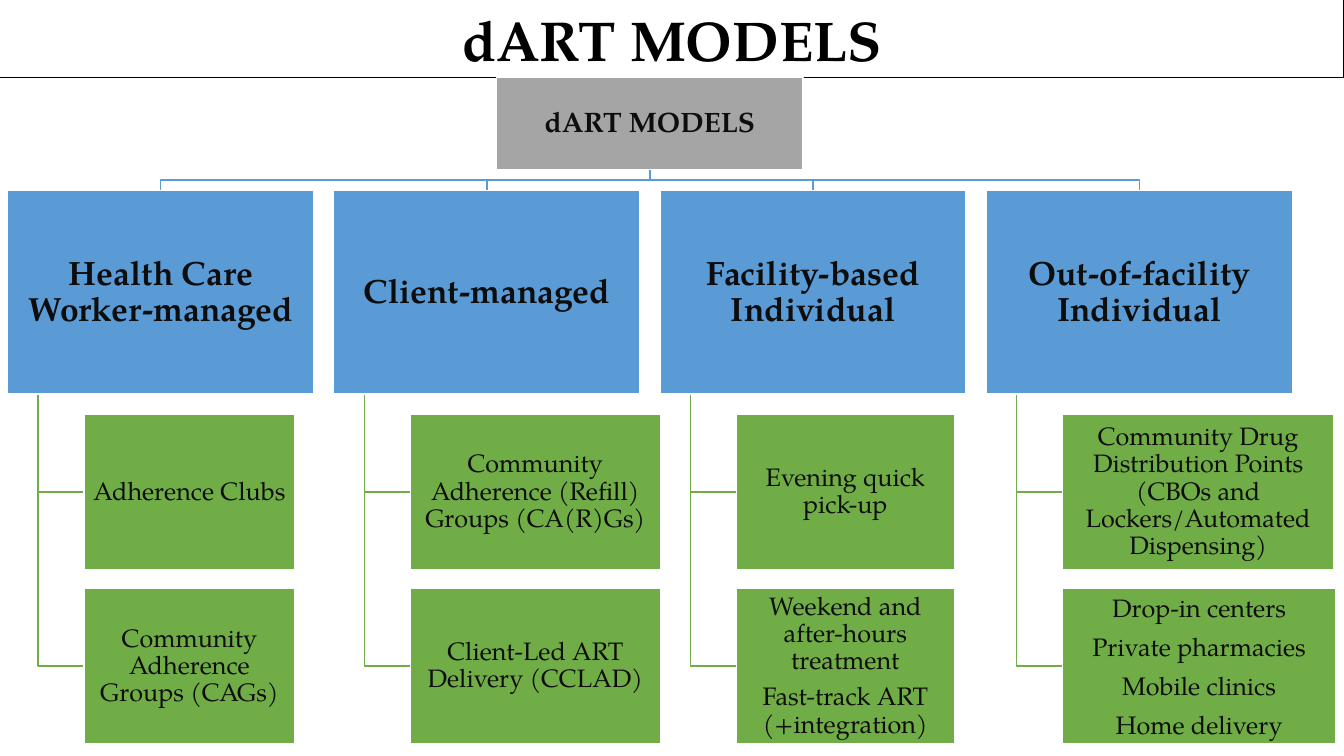
from pptx import Presentation
from pptx import util as u
from pptx.dml import color
from pptx.enum import shapes, text


def rgb(value):
    return color.RGBColor.from_string(value)


def apply(target, formats):
    for name, value in formats.items():
        setattr(target, name, value)


class Chart:
    FONT = "TeX Gyre Pagella"
    INK, TITLE_INK, WHITE = "0D0D0D", "000000", "FFFFFF"
    GREY, BLUE, GREEN = "A5A5A5", "5B9BD5", "70AD47"

    def __init__(self, slide):
        self.slide = slide

    def box(self, left, top, width, height, lines, size, fill=None, line="FFFFFF",
            weight=1, ink=INK, bold=False, inset=0.03, spacing=0.9, gap=0.35):
        box = self.slide.shapes.add_shape(
            shapes.MSO_SHAPE.RECTANGLE, *map(u.Cm, (left, top, width, height)))
        box.shadow.inherit = False
        if fill:
            box.fill.solid()
            box.fill.fore_color.rgb = rgb(fill)
        else:
            box.fill.background()
        box.line.color.rgb = rgb(line)
        box.line.width = u.Pt(weight)
        frame = box.text_frame
        margin = u.Cm(inset)
        apply(frame, {
            "word_wrap": True, "vertical_anchor": text.MSO_ANCHOR.MIDDLE,
            "margin_left": margin, "margin_right": margin,
            "margin_top": margin, "margin_bottom": margin})
        for index, words in enumerate(lines):
            paragraph = frame.paragraphs[0] if index == 0 else frame.add_paragraph()
            apply(paragraph, {
                "text": words, "alignment": text.PP_ALIGN.CENTER,
                "line_spacing": spacing, "space_after": u.Pt(size * gap)})
            font = paragraph.runs[0].font
            apply(font, {"name": self.FONT, "size": u.Pt(size), "bold": bold})
            font.color.rgb = rgb(ink)

    def elbow(self, points, line):
        start, *rest = [(u.Cm(x), u.Cm(y)) for x, y in points]
        builder = self.slide.shapes.build_freeform(*start, scale=1.0)
        builder.add_line_segments(rest, close=False)
        elbow = builder.convert_to_shape()
        elbow.shadow.inherit = False
        elbow.fill.background()
        elbow.line.color.rgb = rgb(line)
        elbow.line.width = u.Pt(1)


SLIDE_WIDTH, SLIDE_HEIGHT = 33.87, 19.05
TITLE_HEIGHT = 1.96
NODE_WIDTH = 7.72
ROOT_LEFT, ROOT_HEIGHT = 12.52, 2.31
ROOT_BOTTOM = TITLE_HEIGHT + ROOT_HEIGHT
BRANCH_LEFT, BRANCH_PITCH = 0.19, 8.22
BRANCH_TOP, BRANCH_HEIGHT = 4.8, 5.13
BRANCH_BOTTOM = BRANCH_TOP + BRANCH_HEIGHT
STEM_INDENT, LEAF_INDENT = 0.77, 1.93
LEAF_TOPS, LEAF_HEIGHT = (10.44, 14.83), 3.91

BRANCHES = [
    ("Health Care Worker-managed", [
        (5.31, 0.9, ["Adherence Clubs"]),
        (5.31, 0.9, ["Community Adherence Groups (CAGs)"])]),
    ("Client-managed", [
        (6.3, 0.9, ["Community Adherence (Refill) Groups (CA(R)Gs)"]),
        (6.3, 0.9, ["Client-Led ART Delivery (CCLAD)"])]),
    ("Facility-based Individual", [
        (5.49, 0.9, ["Evening quick pick-up"]),
        (5.49, 0.9, ["Weekend and after-hours treatment",
                     "Fast-track ART (+integration)"])]),
    ("Out-of-facility Individual", [
        (6.83, 0.9, ["Community Drug Distribution Points "
                     "(CBOs and Lockers/Automated Dispensing)"]),
        (6.88, 1.0, ["Drop-in centers", "Private pharmacies",
                     "Mobile clinics", "Home delivery"])]),
]


def main():
    deck = Presentation()
    apply(deck, {"slide_width": u.Cm(SLIDE_WIDTH), "slide_height": u.Cm(SLIDE_HEIGHT)})
    chart = Chart(deck.slides.add_slide(deck.slide_layouts[6]))

    chart.box(0, 0, SLIDE_WIDTH, TITLE_HEIGHT, ["dART MODELS"], 40, line="000000",
              weight=0.75, ink=chart.TITLE_INK, bold=True, inset=0.1,
              spacing=1.0, gap=0)

    root_center = ROOT_LEFT + NODE_WIDTH / 2
    rail = (ROOT_BOTTOM + BRANCH_TOP) / 2
    lefts = [BRANCH_LEFT + BRANCH_PITCH * column for column in range(len(BRANCHES))]
    for left in lefts:
        center = left + NODE_WIDTH / 2
        chart.elbow([(root_center, ROOT_BOTTOM), (root_center, rail),
                     (center, rail), (center, BRANCH_TOP)], chart.BLUE)
        stem = left + STEM_INDENT
        for top in LEAF_TOPS:
            middle = top + LEAF_HEIGHT / 2
            chart.elbow([(stem, BRANCH_BOTTOM), (stem, middle),
                         (left + LEAF_INDENT, middle)], chart.GREEN)

    chart.box(ROOT_LEFT, TITLE_HEIGHT, NODE_WIDTH, ROOT_HEIGHT, ["dART MODELS"], 20,
              fill=chart.GREY, bold=True)
    for left, (branch, leaves) in zip(lefts, BRANCHES):
        chart.box(left, BRANCH_TOP, NODE_WIDTH, BRANCH_HEIGHT, [branch], 24,
                  fill=chart.BLUE, bold=True, inset=0.05)
        for top, (width, spacing, models) in zip(LEAF_TOPS, leaves):
            chart.box(left + LEAF_INDENT, top, width, LEAF_HEIGHT, models, 18,
                      fill=chart.GREEN, spacing=spacing)

    deck.save("out.pptx")


if __name__ == "__main__":
    main()
